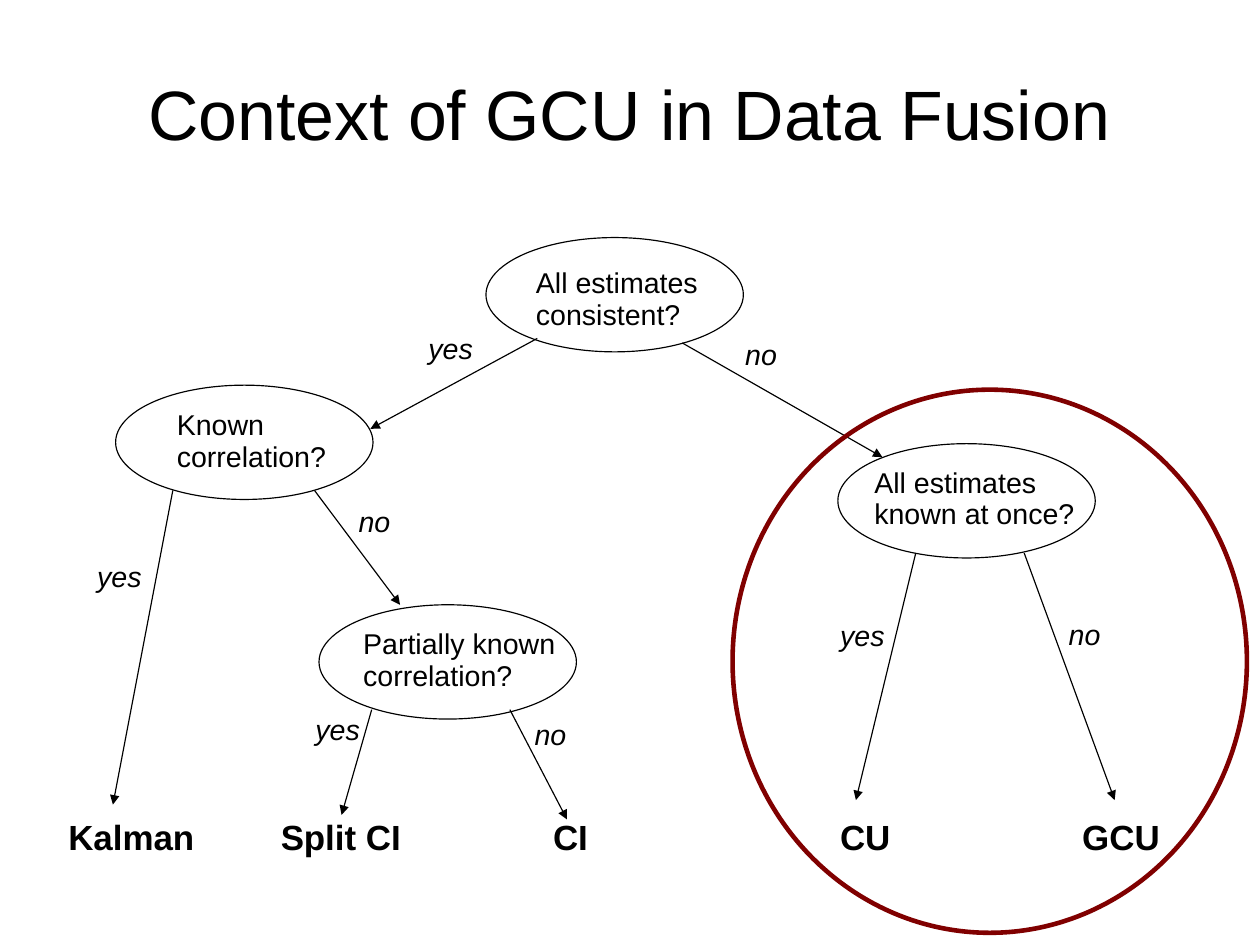
from dataclasses import dataclass

from lxml import etree
from pptx import Presentation
from pptx.dml.color import RGBColor
from pptx.enum.shapes import MSO_CONNECTOR, MSO_SHAPE
from pptx.enum.text import MSO_ANCHOR, PP_ALIGN
from pptx.oxml.ns import qn
from pptx.slide import Slide
from pptx.util import Cm, Pt

ELLIPSE = MSO_SHAPE.OVAL
STRAIGHT = MSO_CONNECTOR.STRAIGHT
LEFT, CENTER = PP_ALIGN.LEFT, PP_ALIGN.CENTER
TOP, MIDDLE = MSO_ANCHOR.TOP, MSO_ANCHOR.MIDDLE

Point = tuple[float, float]
Size = tuple[float, float]


@dataclass(frozen=True)
class Theme:
    font: str = "Arial"
    ink: RGBColor = RGBColor(0, 0, 0)
    highlight: RGBColor = RGBColor(0x80, 0, 0)
    title_size: float = 44
    outcome_size: float = 22
    body_size: float = 18
    thin: float = 0.75
    thick: float = 2.89
    line_spacing: float = 0.93


@dataclass(frozen=True)
class Question:
    text: str
    oval_at: Point
    text_at: Point
    text_width: float = 5.08


@dataclass(frozen=True)
class Branch:
    answer: str
    label_at: Point
    start: Point
    end: Point


@dataclass(frozen=True)
class Outcome:
    text: str
    left: float
    width: float


THEME = Theme()
QUESTION_SIZE = (5.72, 2.54)
QUESTION_TEXT_HEIGHT = 1.68
OUTCOME_TOP, OUTCOME_HEIGHT = 18.08, 1.12
ANSWER_WIDTHS = {"yes": 1.5, "no": 1.27}
ANSWER_HEIGHT = 0.97

QUESTIONS = [
    Question("All estimates consistent?", (10.8, 5.28), (11.66, 5.82)),
    Question("Known correlation?", (2.57, 8.56), (3.68, 8.99), 4.45),
    Question("Partially known correlation?", (7.09, 13.44), (7.82, 13.84)),
    Question("All estimates known at once?", (18.62, 9.86), (19.18, 10.26)),
]
BRANCHES = [
    Branch("yes", (9.27, 7.29), (11.94, 7.52), (8.23, 9.53)),
    Branch("no", (16.31, 7.42), (15.16, 7.62), (19.61, 10.16)),
    Branch("yes", (1.91, 12.37), (3.84, 10.9), (2.51, 17.88)),
    Branch("no", (7.72, 11.13), (6.99, 10.9), (8.89, 13.44)),
    Branch("yes", (6.76, 15.77), (8.26, 15.77), (7.59, 18.11)),
    Branch("no", (11.63, 15.88), (11.33, 15.77), (12.6, 18.21)),
    Branch("yes", (18.42, 13.67), (20.35, 12.29), (19.02, 17.78)),
    Branch("no", (23.5, 13.64), (22.76, 12.29), (24.77, 17.78)),
]
OUTCOMES = [
    Outcome("Kalman", 1.27, 3.81),
    Outcome("Split CI", 5.99, 3.53),
    Outcome("CI", 12.04, 1.91),
    Outcome("CU", 18.42, 3.18),
    Outcome("GCU", 23.8, 3.18),
]


def add_text(slide: Slide, text: str, at: Point, size: Size, *,
             points: float = THEME.body_size, bold: bool = False,
             italic: bool = False, align: PP_ALIGN = LEFT,
             anchor: MSO_ANCHOR = TOP, wrap: bool = True,
             margins: Size = (0.25, 0.13)) -> None:
    """Place one paragraph; margins are horizontal and vertical, in cm."""
    frame = slide.shapes.add_textbox(*map(Cm, at + size)).text_frame
    frame.word_wrap = wrap
    frame.vertical_anchor = anchor
    frame.margin_left = frame.margin_right = Cm(margins[0])
    frame.margin_top = frame.margin_bottom = Cm(margins[1])
    paragraph = frame.paragraphs[0]
    paragraph.alignment = align
    paragraph.line_spacing = THEME.line_spacing
    run = paragraph.add_run()
    run.text = text
    run.font.name = THEME.font
    run.font.size = Pt(points)
    run.font.bold = bold
    run.font.italic = italic
    run.font.color.rgb = THEME.ink


def add_oval(slide: Slide, at: Point, size: Size,
             color: RGBColor = THEME.ink, weight: float = THEME.thin) -> None:
    oval = slide.shapes.add_shape(ELLIPSE, *map(Cm, at + size))
    oval.shadow.inherit = False
    oval.fill.background()
    oval.line.color.rgb = color
    oval.line.width = Pt(weight)


def add_arrow(slide: Slide, start: Point, end: Point) -> None:
    arrow = slide.shapes.add_connector(STRAIGHT, *map(Cm, start + end))
    arrow.line.color.rgb = THEME.ink
    arrow.line.width = Pt(THEME.thin)
    outline = arrow.line._get_or_add_ln()
    etree.SubElement(outline, qn("a:tailEnd"), type="triangle")
    etree.SubElement(arrow._element.spPr, qn("a:effectLst"))


def main() -> None:
    deck = Presentation()
    deck.slide_width, deck.slide_height = Cm(28), Cm(21)
    slide = deck.slides.add_slide(deck.slide_layouts[6])

    add_text(slide, "Context of GCU in Data Fusion", (1.4, 0.97), (25.2, 3.25),
             points=THEME.title_size, align=CENTER, anchor=MIDDLE, margins=(0, 0))
    for outcome in OUTCOMES:
        add_text(slide, outcome.text, (outcome.left, OUTCOME_TOP),
                 (outcome.width, OUTCOME_HEIGHT),
                 points=THEME.outcome_size, bold=True)
    for question in QUESTIONS:
        add_text(slide, question.text, question.text_at,
                 (question.text_width, QUESTION_TEXT_HEIGHT))
    for branch in BRANCHES:
        add_arrow(slide, branch.start, branch.end)
    for question in QUESTIONS:
        add_oval(slide, question.oval_at, QUESTION_SIZE)
    for branch in BRANCHES:
        add_text(slide, branch.answer, branch.label_at,
                 (ANSWER_WIDTHS[branch.answer], ANSWER_HEIGHT),
                 italic=True, wrap=branch.answer == "no")
    add_oval(slide, (16.28, 8.66), (11.43, 12.07), THEME.highlight, THEME.thick)

    deck.save("out.pptx")


if __name__ == "__main__":
    main()
